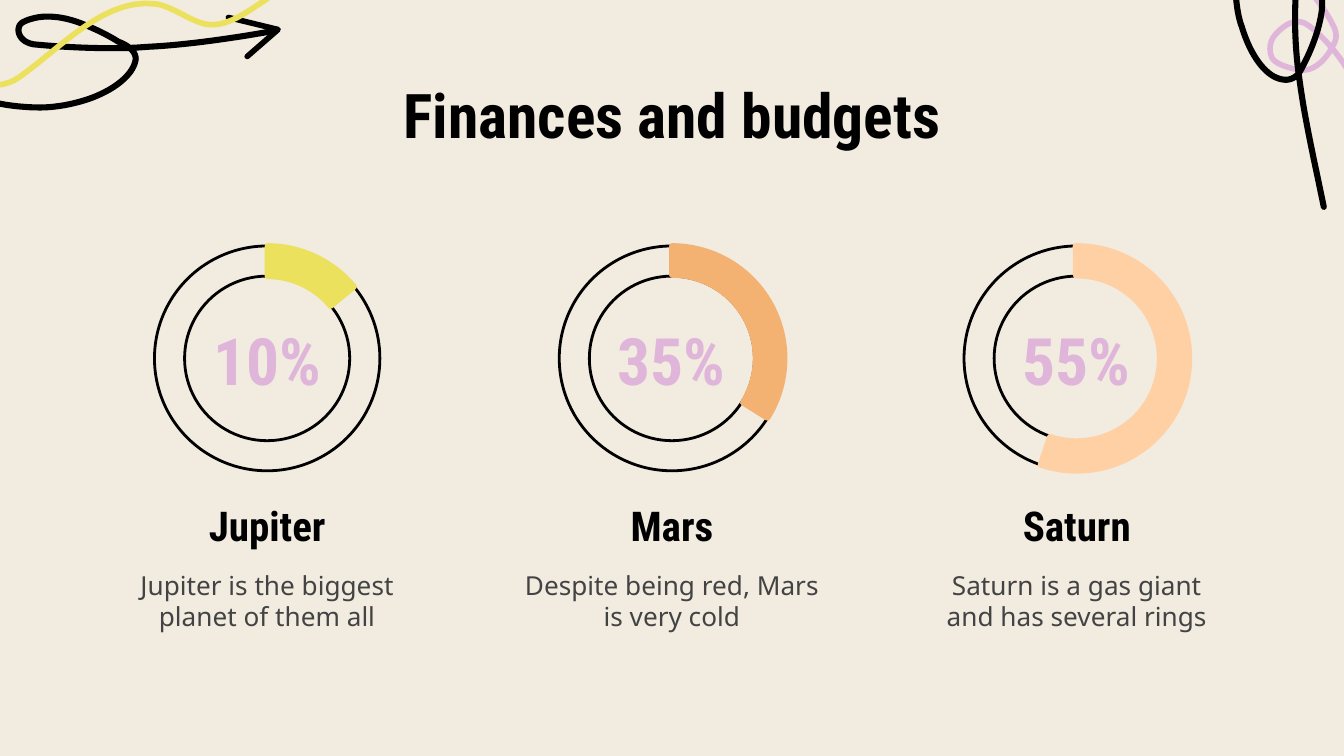
from pptx import Presentation
from pptx.dml.color import RGBColor
from pptx.enum.shapes import MSO_SHAPE
from pptx.enum.text import MSO_ANCHOR, MSO_AUTO_SIZE, PP_ALIGN
from pptx.oxml.ns import qn
from pptx.util import Cm, Pt

DONUT, BLOCK_ARC = MSO_SHAPE.DONUT, MSO_SHAPE.BLOCK_ARC
MIDDLE, CENTER = MSO_ANCHOR.MIDDLE, PP_ALIGN.CENTER
NO_AUTOFIT = MSO_AUTO_SIZE.NONE

COLORS = {
    "background": "F1EBE0", "black": "000000", "gray": "434343", "pink": "DFB6DA",
    "yellow": "ECE15C", "orange": "F3B172", "peach": "FFD0A4",
}
HEADING, BODY = "Roboto Condensed", "Noto Sans"
DEGREE = 0.6
UNIT = Cm(0.0254)
FIRST_CENTER, PITCH = 5.05, 7.65

PLANETS = [
    ("Jupiter", "10%", "Jupiter is the biggest planet of them all", "yellow", 270.2, 320.5, 0.135),
    ("Mars", "35%", "Despite being red, Mars is very cold", "orange", 270, 31.95, 0.129),
    ("Saturn", "55%", "Saturn is a gas giant and has several rings", "peach", 269.4, 108.8, 0.132),
]

PINK_LOOP = [
    (1012, 118), (1011, 109), (1015, 80), (1008, 63), (1002, 46), (982, 24), (972, 18),
    (962, 12), (952, 22), (948, 27), (944, 32), (944, 41), (948, 45),
    (952, 49), (966, 53), (972, 52), (979, 51), (985, 45), (989, 39),
    (992, 33), (997, 29), (992, 19), (987, 8), (970, -14), (959, -23),
    (947, -33), (931, -35), (922, -39), (913, -43), (907, -47), (904, -48),
]
BLACK_LOOP = [
    (1084, -63.5), (1040, -66.5), (995, -71), (960, -72), (930, -72), (922, -50), (920, -30),
    (918, -10), (920, 10), (924, 20), (930, 40), (940, 54), (950, 58),
    (960, 62), (966, 57), (969, 50), (977, 35), (982, 20), (983.5, 8),
    (985, -10), (980, -23), (973, -24), (966, -23), (964, -10), (964, -2),
    (963, 20), (964, 40), (967, 60), (971, 90), (978, 120), (985, 154),
]
ARROW_SHAFT = [
    (201, 23.5), (170, 29), (140, 33), (116, 34.5), (107, 35), (100, 35.7), (92, 35.8),
    (70, 36.2), (45, 35), (25, 33), (13, 31), (11, 20), (17, 16.5),
    (30, 10), (45, 12), (58, 16.5), (70, 21), (80, 26), (88, 31),
    (97, 34.5), (101, 39), (101, 44), (100, 52), (92, 62), (75, 70),
    (60, 77), (42, 80), (30, 80), (10, 80), (-10, 76), (-20, 71.5),
    (-32, 65), (-38, 55), (-38, 42), (-36, 15), (-24, -60), (-20, -97),
]
ARROW_HEAD = [(170, 13), (207, 22), (184, 42)]
YELLOW_WAVE = [
    (199, -1), (185, 8), (169, 21), (153, 18), (140, 15), (129, 5), (116, 3),
    (78, -2), (46, 35), (15, 57), (-3, 71), (-31, 58), (-52, 63),
]


def rgb(name):
    """Return the named colour."""
    return RGBColor.from_string(COLORS[name])


def sample_curve(points, steps=14):
    """Return points along a chain of cubic curves."""
    result = [points[0]]
    for i in range(0, len(points) - 1, 3):
        for step in range(1, steps + 1):
            t = step / steps
            weights = ((1 - t) ** 3, 3 * t * (1 - t) ** 2, 3 * t * t * (1 - t), t ** 3)
            result.append(tuple(
                sum(w * p[axis] for w, p in zip(weights, points[i:i + 4])) for axis in (0, 1)
            ))
    return result


def add_stroke(slide, points, color, width=3):
    """Draw an open freehand line with round ends."""
    emu = [(x * UNIT, y * UNIT) for x, y in points]
    builder = slide.shapes.build_freeform(*emu[0])
    builder.add_line_segments(emu[1:], close=False)
    sp = builder.convert_to_shape()
    sp.shadow.inherit = False
    sp.fill.background()
    sp.line.color.rgb = rgb(color)
    sp.line.width = Pt(width)
    sp._element.spPr.find(qn("a:ln")).set("cap", "rnd")


def format_text(sp, text, size, font, color, bold=False):
    """Set centred text in one style."""
    tf = sp.text_frame
    tf.text = text
    tf.word_wrap = True
    tf.auto_size = NO_AUTOFIT
    tf.vertical_anchor = MIDDLE
    tf.margin_left = tf.margin_right = tf.margin_top = tf.margin_bottom = Cm(0.25)
    p = tf.paragraphs[0]
    p.alignment = CENTER
    r = p.runs[0]
    r.font.size, r.font.name, r.font.bold = Pt(size), font, bold
    r.font.color.rgb = rgb(color)


def add_label(slide, center, top, width, height, *style):
    """Add a text box centred on a column."""
    sp = slide.shapes.add_textbox(Cm(center - width / 2), Cm(top), Cm(width), Cm(height))
    format_text(sp, *style)


def add_ring(slide, kind, center, adjustments, color, width, filled=False):
    """Add a ring or a part of one."""
    sp = slide.shapes.add_shape(kind, Cm(center - 2.13), Cm(4.65), Cm(4.26), Cm(4.25))
    sp.shadow.inherit = False
    for i, value in enumerate(adjustments):
        sp.adjustments[i] = value
    if filled:
        sp.fill.solid()
        sp.fill.fore_color.rgb = rgb(color)
    else:
        sp.fill.background()
    sp.line.color.rgb = rgb(color)
    sp.line.width = Pt(width)


def add_planet(slide, center, name, percent, text, color, start, end, thickness):
    """Add one column with its ring, figure, name and text."""
    add_ring(slide, DONUT, center, [0.134], "black", 1.5)
    arc = [start * DEGREE, end * DEGREE, thickness]
    add_ring(slide, BLOCK_ARC, center, arc, color, 3, filled=True)
    add_label(slide, center, 5.82, 3.15, 1.96, percent, 35, HEADING, "pink", True)
    add_label(slide, center, 9.42, 6.15, 1.02, name, 22, HEADING, "black", True)
    add_label(slide, center, 10.44, 6.15, 1.83, text, 14, BODY, "gray")


def add_title(slide, text):
    """Place and format the title."""
    sp = slide.shapes.title
    sp.left, sp.top, sp.width, sp.height = Cm(1.98), Cm(1.5), Cm(21.44), Cm(1.32)
    format_text(sp, text, 33, HEADING, "black", True)


def main():
    """Build the slide and save it."""
    prs = Presentation()
    prs.slide_width, prs.slide_height = Cm(25.4), Cm(14.29)
    slide = prs.slides.add_slide(prs.slide_layouts[5])
    slide.background.fill.solid()
    slide.background.fill.fore_color.rgb = rgb("background")

    add_stroke(slide, sample_curve(PINK_LOOP), "pink")
    add_stroke(slide, sample_curve(BLACK_LOOP), "black", 3.25)
    add_stroke(slide, sample_curve(ARROW_SHAFT), "black", 3.25)
    add_stroke(slide, ARROW_HEAD, "black")
    add_stroke(slide, sample_curve(YELLOW_WAVE), "yellow")
    add_title(slide, "Finances and budgets")
    for i, planet in enumerate(PLANETS):
        add_planet(slide, FIRST_CENTER + i * PITCH, *planet)
    prs.save("out.pptx")


if __name__ == "__main__":
    main()
